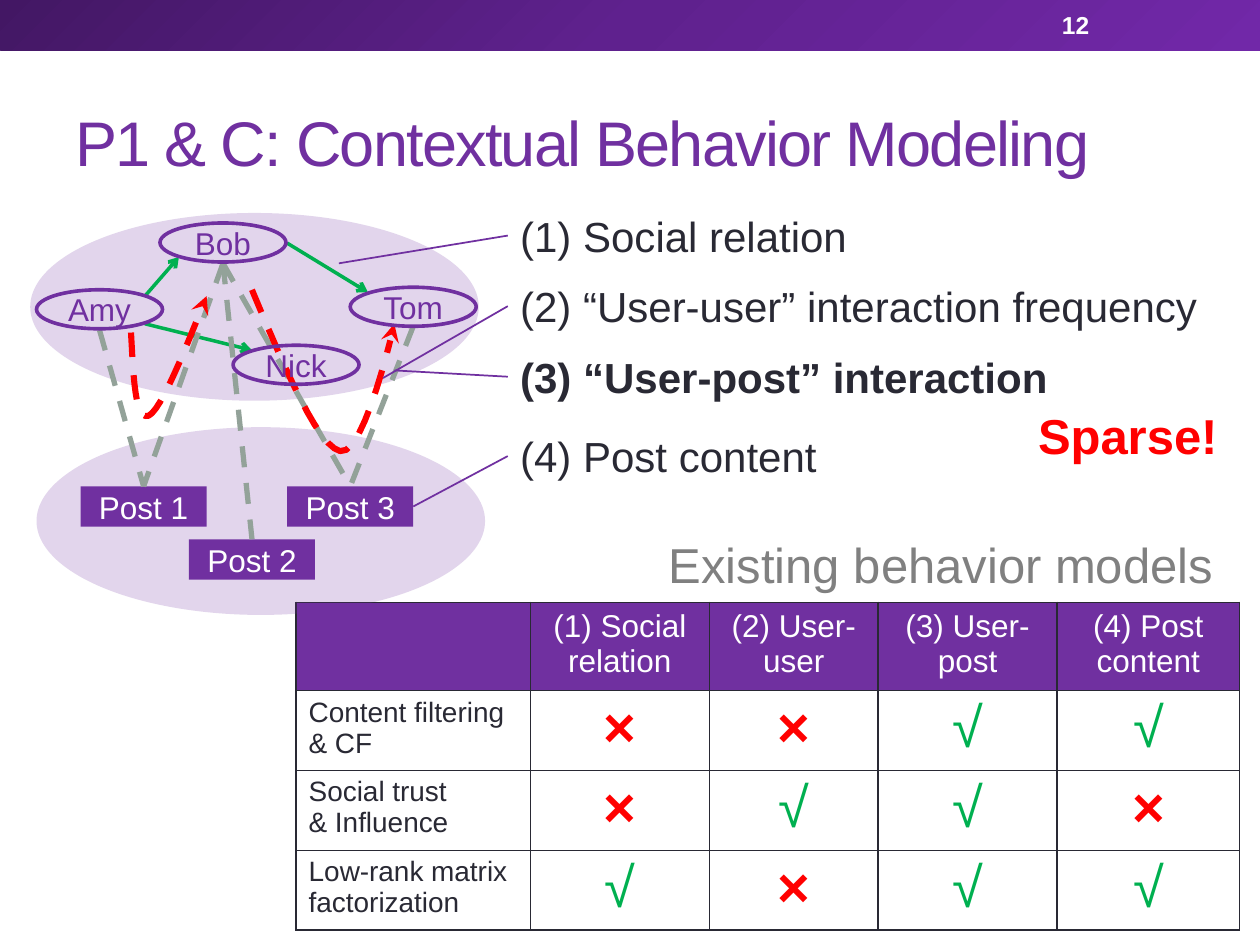
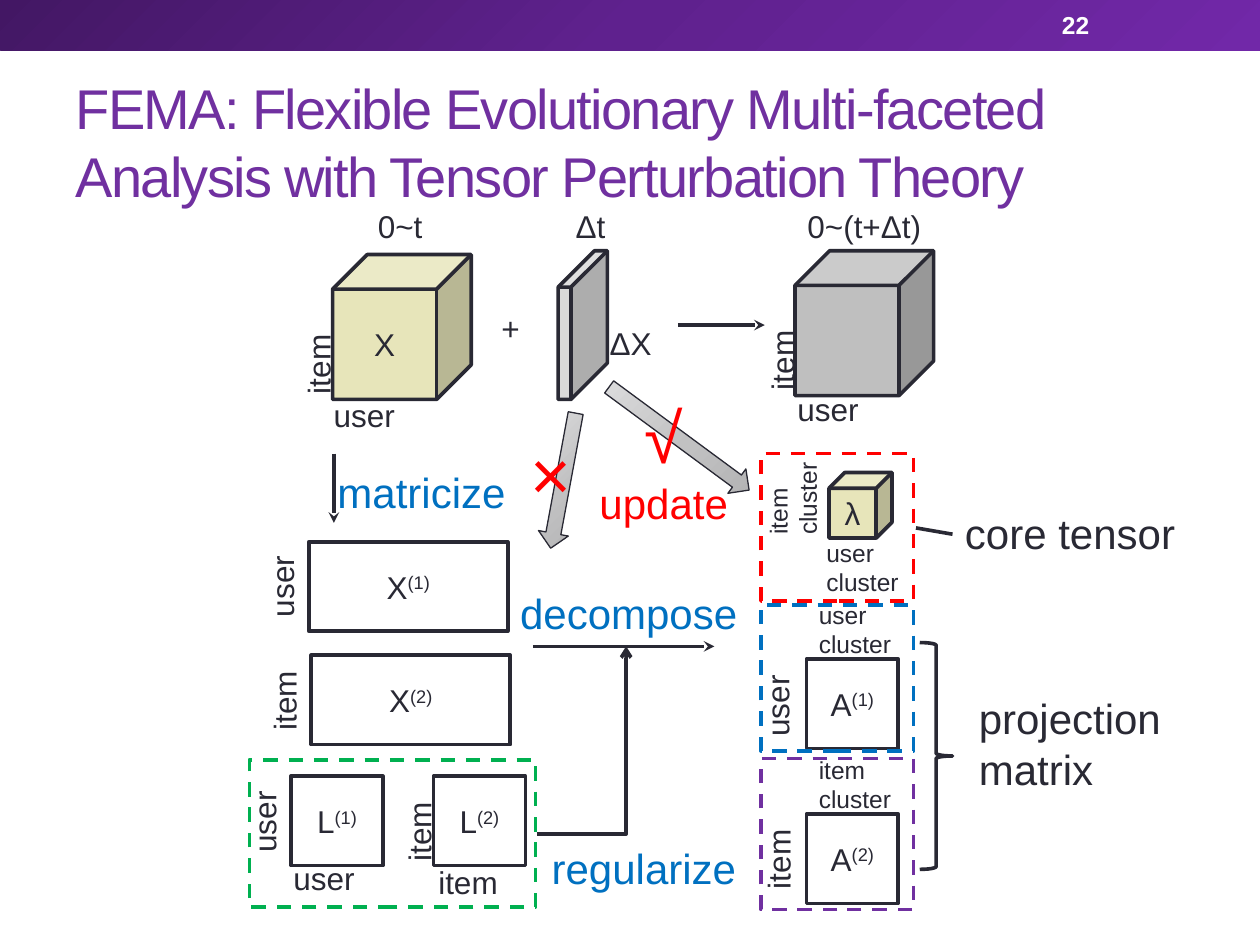
from dataclasses import dataclass

from lxml import etree
from pptx import Presentation, util
from pptx.dml.color import RGBColor
from pptx.enum import dml, shapes as kinds, text as layout_text
from pptx.oxml.ns import qn

SHAPE, LINE, ALIGN = kinds.MSO_SHAPE, kinds.MSO_CONNECTOR, layout_text.PP_ALIGN
TEXT, CURVE = "text", "curve"


@dataclass(frozen=True)
class Theme:
    font: str = "Arial"
    purple: str = "7030A0"
    dark: str = "292934"
    white: str = "FFFFFF"
    red: str = "FF0000"
    green: str = "00B050"
    blue: str = "0070C0"
    sage: str = "93A299"
    gray: str = "808080"
    cream: str = "E7E5BA"
    band: tuple = ((0, "431764"), (50, "5F218E"), (100, "7128A8"))
    metal: tuple = ((0, "B2B2B3"), (45, "C1C1C2"), (100, "DDDDDE"))
    small: int = 14
    row_name: int = 16
    body: int = 18
    label: int = 24
    callout: int = 28
    mark: int = 32
    symbol: int = 40
    stroke: float = 2.08


THEME = Theme()

presentation = Presentation()
presentation.slide_width, presentation.slide_height = util.Inches(10), util.Inches(7.5)
GRID = presentation.slide_width // 100  # the slide is 100 columns by 75 rows


def write(frame, words, align=ALIGN.LEFT, size=THEME.body, color=THEME.dark, bold=False):
    """Fill a text frame: a new line starts a paragraph, ^ starts a superscript."""
    for number, words_of_line in enumerate(words.split("\n")):
        paragraph = frame.add_paragraph() if number else frame.paragraphs[0]
        paragraph.alignment = align
        base, _, raised = words_of_line.partition("^")
        for part in filter(None, (base, raised)):
            run = paragraph.add_run()
            run.text = part
            formats = {"name": THEME.font, "size": util.Pt(size), "bold": bold}
            for name, value in formats.items():
                setattr(run.font, name, value)
            run.font.color.rgb = RGBColor.from_string(color)
            if part is raised:
                run.font._element.set("baseline", "30000")


def draw(slide, kind, box, words="", fill=None, opacity=100, line=None, width=THEME.stroke,
         dash=False, tail=None, rotation=0, adjust=None, **font):
    """Draw a shape, text, connector or Bezier curve; box is in grid units."""
    if kind == CURVE:
        points = [box[0]]
        for first in range(0, len(box) - 1, 3):
            a, b, c, d = box[first:first + 4]
            for t in (step / 12 for step in range(1, 13)):
                weights = (1 - t) ** 3, 3 * t * (1 - t) ** 2, 3 * t * t * (1 - t), t ** 3
                points.append([sum(w * p[axis] for w, p in zip(weights, (a, b, c, d)))
                               for axis in (0, 1)])
        points = [(x * GRID, y * GRID) for x, y in points]
        builder = slide.shapes.build_freeform(*points[0])
        builder.add_line_segments(points[1:], close=False)
        shape = builder.convert_to_shape()
    else:
        if len(box) == 3:  # the height follows from the lines of text
            lines = words.count("\n") + 1
            box = (*box, 1 + lines * font.get("size", THEME.body) / 6)
        lengths = [round(value * GRID) for value in box]
        if kind == TEXT:
            shape = slide.shapes.add_textbox(*lengths)
        elif isinstance(kind, LINE):
            shape = slide.shapes.add_connector(kind, *lengths)
        else:
            shape = slide.shapes.add_shape(kind, *lengths)
    properties = shape._element.spPr

    if not isinstance(kind, LINE):
        shape.rotation = rotation
        if adjust is not None:
            shape.adjustments[0] = adjust
        if isinstance(fill, tuple):
            shape.fill.gradient()
            gradient = properties.find(qn("a:gradFill"))
            for child in list(gradient):
                gradient.remove(child)
            stops = etree.SubElement(gradient, qn("a:gsLst"))
            for position, color in fill:
                stop = etree.SubElement(stops, qn("a:gs"), pos=str(position * 1000))
                etree.SubElement(stop, qn("a:srgbClr"), val=color)
            if fill is THEME.band:
                etree.SubElement(gradient, qn("a:lin"), ang="2700000", scaled="0")
            else:
                circle = etree.SubElement(gradient, qn("a:path"), path="circle")
                etree.SubElement(circle, qn("a:fillToRect"), l="100000", t="100000")
        elif fill:
            shape.fill.solid()
            shape.fill.fore_color.rgb = RGBColor.from_string(fill)
            color = properties.find(qn("a:solidFill"))[0]
            etree.SubElement(color, qn("a:alpha"), val=str(opacity * 1000))
        else:
            shape.fill.background()

    if line:
        shape.line.color.rgb = RGBColor.from_string(line)
        shape.line.width = util.Pt(width)
        if dash:
            shape.line.dash_style = dml.MSO_LINE.DASH
        if tail:
            etree.SubElement(properties.find(qn("a:ln")), qn("a:tailEnd"), type=tail)
    else:
        shape.line.fill.background()
    etree.SubElement(properties, qn("a:effectLst"))

    if words:
        shape.text_frame.word_wrap = False
        if kind != TEXT:
            shape.text_frame.vertical_anchor = layout_text.MSO_ANCHOR.MIDDLE
            font.setdefault("align", ALIGN.CENTER)
        write(shape.text_frame, words, **font)
    return shape


# Shared frame: title, page number and band
title_only = presentation.slide_layouts[5]
slides = []
for title, title_size, page in (
        ("P1 & C: Contextual Behavior Modeling", 36, "12"),
        ("FEMA: Flexible Evolutionary Multi-faceted Analysis with Tensor Perturbation Theory",
         32, "22")):
    slide = presentation.slides.add_slide(title_only)
    heading = slide.shapes.title
    place = {"left": 5, "top": 5.8, "width": 90, "height": 10.8}
    for name, value in place.items():
        setattr(heading, name, round(value * GRID))
    frame_format = {"vertical_anchor": layout_text.MSO_ANCHOR.MIDDLE, "word_wrap": True,
                    "auto_size": layout_text.MSO_AUTO_SIZE.NONE}
    for name, value in frame_format.items():
        setattr(heading.text_frame, name, value)
    write(heading.text_frame, title, size=title_size, color=THEME.purple)
    heading.text_frame.paragraphs[0].runs[0].font._element.set("spc", "-100")
    number = draw(slide, TEXT, (83.3, 0.2, 11.7, 3.6), page, size=THEME.small,
                  color=THEME.white, bold=True)
    number.text_frame.word_wrap = True
    number.text_frame.vertical_anchor = layout_text.MSO_ANCHOR.MIDDLE
    slides.append(slide)
behavior, fema = slides
band = draw(behavior, SHAPE.RECTANGLE, (0, 0, 100, 4), fill=THEME.band)
title_only.shapes._spTree.insert(2, band._element)

# Behavior slide: comparison table
column_widths, row_heights = (18.6, 14.2, 13.4, 14.2, 14.5), (6.6, 6, 6, 6)
table_rows = (
    ("", "(1) Social relation", "(2) User-user", "(3) User-post", "(4) Post content"),
    ("Content filtering\n& CF", *"××√√"),
    ("Social trust\n& Influence", *"×√√×"),
    ("Low-rank matrix\nfactorization", *"√×√√"),
)
table = behavior.shapes.add_table(
    4, 5, *(round(v * GRID) for v in (23.5, 47.8, sum(column_widths), sum(row_heights)))).table
table.first_row = table.horz_banding = False
for column, width in zip(table.columns, column_widths):
    column.width = round(width * GRID)
for row_number, (row, height, entries) in enumerate(zip(table.rows, row_heights, table_rows)):
    row.height = round(height * GRID)
    for column_number, (cell, entry) in enumerate(zip(row.cells, entries)):
        for side in ("lnL", "lnR", "lnT", "lnB"):
            border = etree.SubElement(cell._tc.get_or_add_tcPr(), qn("a:" + side), w="12700")
            ink = etree.SubElement(border, qn("a:solidFill"))
            etree.SubElement(ink, qn("a:srgbClr"), val=THEME.dark)
        if row_number == 0:
            cell.fill.solid()
            cell.fill.fore_color.rgb = RGBColor.from_string(THEME.purple)
            font = {"align": ALIGN.CENTER, "color": THEME.white}
        else:
            cell.fill.background()
            font = {"size": THEME.row_name}
            if column_number:
                font = {"align": ALIGN.CENTER, "size": THEME.mark, "bold": entry == "×",
                        "color": THEME.red if entry == "×" else THEME.green}
        write(cell.text_frame, entry, **font)

# Behavior slide: network of users and posts
for left, top in ((2.4, 16.9), (2.9, 33.9)):
    draw(behavior, SHAPE.OVAL, (left, top, 35.6, 14.9), fill=THEME.purple, opacity=20)
for ends in ((11.5, 23.5, 14.2, 20.4), (11.5, 25.7, 20, 27.8), (22.8, 19.3, 29.2, 23.2)):
    draw(behavior, LINE.STRAIGHT, ends, line=THEME.green, width=2, tail="arrow")
posts = [draw(behavior, SHAPE.RECTANGLE, (left, top, 10, 3.2), f"Post {number}",
              fill=THEME.purple, color=THEME.white)
         for number, (left, top) in enumerate(((6.4, 38.6), (15, 42.8), (22.8, 38.6)), 1)]
amy_foot, bob_foot, tom_foot = (7.9, 26.2), (17.7, 20.9), (32.8, 25.9)
for foot, post in ((bob_foot, 0), (amy_foot, 0), (bob_foot, 2), (tom_foot, 2), (bob_foot, 1)):
    link = draw(behavior, LINE.STRAIGHT, foot + foot, line=THEME.sage, width=3, dash=True)
    link.end_connect(posts[post], 0)
for points in (
        ((10.4, 26.4), (10.6, 29.9), (10.7, 33.4), (11.8, 33), (12.8, 32.5), (14.6, 28),
         (16.4, 23.5)),
        ((20, 23), (22.6, 29.2), (25.2, 35.4), (27, 35.8), (28.9, 36.3), (31.3, 25.7),
         (31.3, 25.7))):
    draw(behavior, CURVE, points, line=THEME.red, width=3.5, dash=True, tail="stealth")
for user, left, top in (("Amy", 2.9, 23), ("Tom", 27.8, 22.8), ("Bob", 12.7, 17.7),
                        ("Nick", 18.5, 27.4)):
    draw(behavior, SHAPE.OVAL, (left, top, 10, 3.1), user, line=THEME.purple,
         color=THEME.purple)

# Behavior slide: labels and the lines that lead to them
for number, (words, top, width, target) in enumerate((
        ("Social relation", 16.2, 28.2, (26.9, 20.9)),
        ("“User-user” interaction frequency", 21.8, 56.3, (30.4, 30)),
        ("“User-post” interaction", 27.4, 45.1, (31.3, 29.4)),
        ("Post content", 33.7, 33.3, (32.8, 40.2))), 1):
    label = draw(behavior, TEXT, (40.3, top, width), f"({number}) {words}",
                 size=THEME.label, bold=number == 3)
    label.text_frame.word_wrap = number > 2
    leader = draw(behavior, LINE.STRAIGHT, target + target, line=THEME.purple, width=1)
    leader.begin_connect(label, 1)
leader.end_connect(posts[2], 3)
draw(behavior, TEXT, (52.1, 41.9, 45.8), "Existing behavior models", size=THEME.callout,
     color=THEME.gray)
draw(behavior, TEXT, (81.4, 31.7, 16.4), "Sparse!", size=THEME.callout, color=THEME.red,
     bold=True)

# FEMA slide: tensors, matrices and dashed groups
for words, box, fill, adjust in (
        ("X", (26.4, 20.2, 11, 11.5), THEME.cream, 0.25),
        ("", (44.3, 19.9, 3.9, 11.8), "D9D9D9", 0.74),
        ("", (63.1, 19.9, 11, 11.5), "BFBFBF", 0.25),
        ("λ", (65.8, 37.5, 5, 5.2), THEME.cream, 0.25)):
    draw(fema, SHAPE.CUBE, box, words, fill=fill, line=THEME.dark, adjust=adjust)
for words, left, top, width in (
        ("A^(1)", 64, 52.3, 7.3), ("A^(2)", 64, 64.6, 7.3), ("X^(1)", 24.5, 43, 15.8),
        ("X^(2)", 24.7, 52, 15.8), ("L^(1)", 23.1, 61.6, 7.3), ("L^(2)", 34.4, 61.6, 7.3)):
    draw(fema, SHAPE.RECTANGLE, (left, top, width, 7.1), words, fill=THEME.white,
         line=THEME.dark)
for color, box in ((THEME.red, (60.4, 36, 12.1, 11.7)), (THEME.blue, (60.4, 48, 12.1, 11.6)),
                   (THEME.purple, (60.4, 60.2, 12.1, 12)),
                   (THEME.green, (19.8, 60.3, 22.7, 11.7))):
    draw(fema, SHAPE.RECTANGLE, box, line=color, dash=True)

# FEMA slide: arrows and brace
for box, rotation in (((43.5, 32.7, 2.4, 10.9), 10.5), ((52.7, 27.9, 2.4, 13.8), 306.4)):
    draw(fema, SHAPE.DOWN_ARROW, box, fill=THEME.metal, line=THEME.dark, width=0.75,
         rotation=rotation)
for ends, tail in (((53.8, 25.8, 60.7, 25.8), "stealth"), ((26.5, 36, 26.5, 41.5), "stealth"),
                   ((42.3, 51.3, 56.7, 51.3), "stealth"), ((72.7, 41.9, 75.6, 42.4), None)):
    draw(fema, LINE.STRAIGHT, ends, line=THEME.dark, tail=tail)
elbow = draw(fema, LINE.ELBOW, (42.6, 66.2, 49.7, 51.3), line=THEME.dark, tail="arrow")
elbow._element.spPr.find(qn("a:prstGeom")).set("prst", "bentConnector2")
draw(fema, SHAPE.RIGHT_BRACE, (73, 51, 2.6, 18), line=THEME.dark)

# FEMA slide: axis names, upright and turned
for words, left, top, rotation in (
        ("user", 25.5, 30.9, 0), ("item", 21.8, 26.8, 270), ("user", 62.3, 30.5, 0),
        ("item", 58.6, 26.5, 270), ("user", 58.2, 54, 270), ("item", 58.3, 66.1, 270),
        ("user", 18.9, 44.5, 270), ("item", 19.1, 53.5, 270), ("user", 22.3, 67.7, 0),
        ("item", 29.8, 63.9, 270), ("item", 33.8, 68, 0), ("user", 17.5, 63.2, 270)):
    draw(fema, TEXT, (left, top, 6.9), words, rotation=rotation)
for axis, left, top, rotation in (("user", 64, 47.1, 0), ("item", 64, 59.4, 0),
                                  ("user", 64.6, 42.2, 0), ("item", 59, 36.7, 270)):
    draw(fema, TEXT, (left, top, 7.8), f"{axis}\ncluster", size=THEME.small,
         rotation=rotation)

# FEMA slide: captions
for words, left, top, width, size, color in (
        ("0~t", 29, 15.9, 5.7, THEME.body, THEME.dark),
        ("Δt", 44.7, 15.9, 4.4, THEME.body, THEME.dark),
        ("0~(t+Δt)", 63.1, 15.9, 11.6, THEME.body, THEME.dark),
        ("+", 38.8, 24, 3.5, THEME.body, THEME.dark),
        ("ΔX", 47.4, 25.2, 5.5, THEME.body, THEME.dark),
        ("matricize", 25.8, 36.5, 15.5, THEME.label, THEME.blue),
        ("decompose", 40.3, 46.1, 19.4, THEME.label, THEME.blue),
        ("regularize", 42.8, 66.4, 16.8, THEME.label, THEME.blue),
        ("update", 46.6, 37.4, 12.3, THEME.label, THEME.red),
        ("core tensor", 75.6, 39.8, 18.9, THEME.label, THEME.dark),
        ("projection\nmatrix", 76.7, 54.5, 16.6, THEME.label, THEME.dark),
        ("×", 41.1, 33.7, 5.1, THEME.symbol, THEME.red),
        ("√", 50.2, 30.7, 5.1, THEME.symbol, THEME.red)):
    draw(fema, TEXT, (left, top, width), words, size=size, color=color)

presentation.save("out.pptx")
